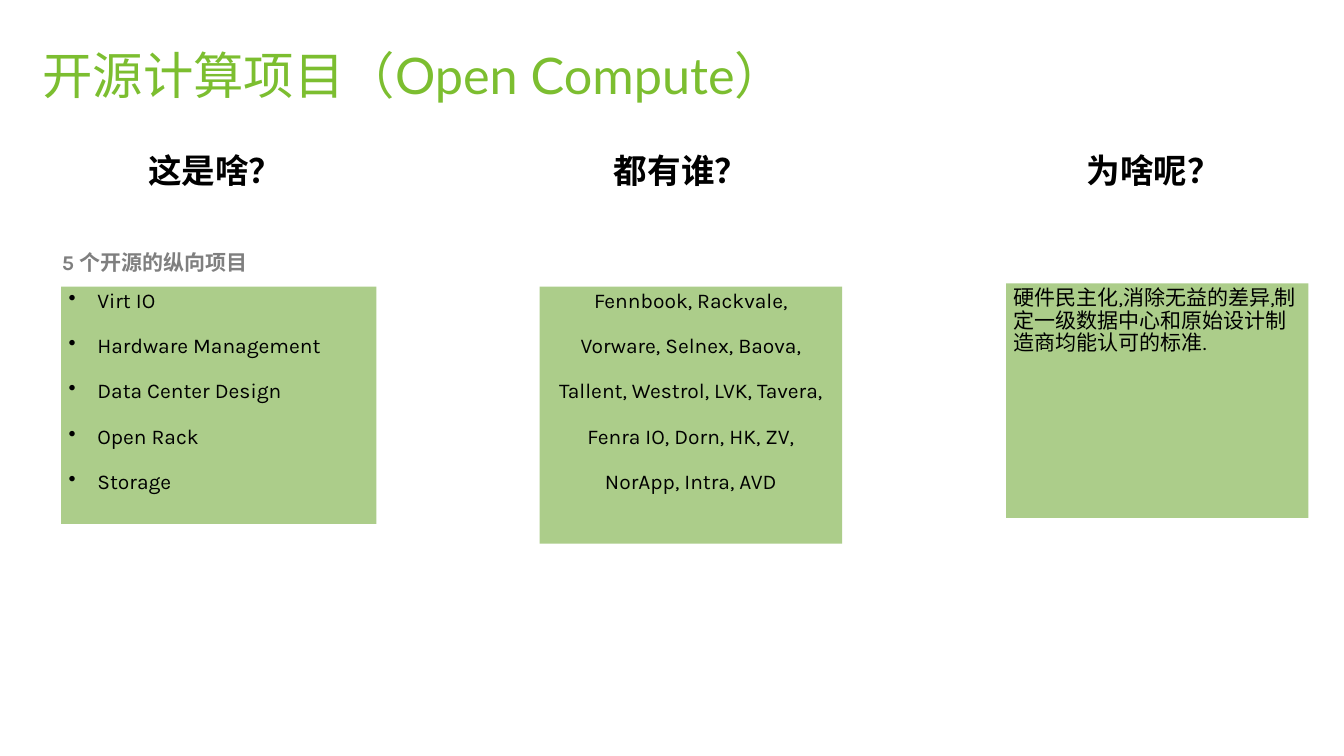
from lxml import etree
from pptx import Presentation
from pptx.dml.color import RGBColor
from pptx.enum.shapes import MSO_SHAPE
from pptx.enum.text import MSO_ANCHOR, MSO_AUTO_SIZE, PP_ALIGN
from pptx.oxml.ns import qn
from pptx.util import Inches, Pt

RECT = MSO_SHAPE.RECTANGLE
LEFT, CENTER = PP_ALIGN.LEFT, PP_ALIGN.CENTER
TOP = MSO_ANCHOR.TOP
NO_FIT = MSO_AUTO_SIZE.NONE

COLORS = {"title": "7CBE30", "panel": "ACCD8A", "text": "000000", "caption": "7F7F7F"}

# Font name, size, weight and colour of each kind of text
FORMATS = {
    "title": {"name": "Lato", "size": Pt(48), "bold": False},
    "heading": {"name": "Karla", "size": Pt(32), "bold": True},
    "caption": {"name": "Karla", "size": Pt(20), "bold": True},
    "body": {"name": "Karla", "size": Pt(20), "bold": False},
}
ROW_GAP = Pt(21.5)
INDENT = Inches(0.38)

PROJECTS = ["Virt IO", "Hardware Management", "Data Center Design", "Open Rack", "Storage"]
MEMBERS = [
    "Fennbook, Rackvale,",
    "Vorware, Selnex, Baova,",
    "Tallent, Westrol, LVK, Tavera,",
    "Fenra IO, Dorn, HK, ZV,",
    "NorApp, Intra, AVD",
]
REASON = ["硬件民主化,消除无益的差异,制定一级数据中心和原始设计制造商均能认可的标准."]

COLUMNS = [
    {"heading": ("这是啥？", (1.56, 2, 2.58, 0.58)), "box": (0.81, 3.79, 4.17, 3.14),
     "lines": PROJECTS, "align": LEFT, "bullets": True,
     "caption": ("5 个开源的纵向项目", (0.72, 3.29, 4.08, 0.4))},
    {"heading": ("都有谁？", (7.72, 2, 2.58, 0.58)), "box": (7.14, 3.79, 4, 3.4),
     "lines": MEMBERS, "align": CENTER},
    {"heading": ("为啥呢？", (13.14, 2, 4.25, 0.58)), "box": (13.31, 3.75, 4, 3.1),
     "lines": REASON, "align": LEFT},
]


def add_bullet(p):
    pPr = p._p.get_or_add_pPr()
    pPr.set("marL", str(INDENT))
    pPr.set("indent", str(-INDENT))
    color = etree.SubElement(pPr, qn("a:buClr"))
    etree.SubElement(color, qn("a:srgbClr")).set("val", COLORS["text"])
    etree.SubElement(pPr, qn("a:buChar")).set("char", "•")


def write(tf, lines, kind, color, align=LEFT, spacing=0.9, bullets=False):
    tf.word_wrap = True
    tf.auto_size = NO_FIT
    tf.vertical_anchor = TOP
    for i, line in enumerate(lines):
        p = tf.add_paragraph() if i else tf.paragraphs[0]
        p.alignment = align
        p.line_spacing = spacing
        p.space_before = ROW_GAP if i else Pt(0)
        if bullets:
            add_bullet(p)
        r = p.add_run()
        r.text = line
        for key, value in FORMATS[kind].items():
            setattr(r.font, key, value)
        r.font.color.rgb = RGBColor.from_string(COLORS[color])


def add_title(slide, text, box):
    sp = slide.shapes.title
    sp.left, sp.top, sp.width, sp.height = map(Inches, box)
    tf = sp.text_frame
    for side in ("left", "top", "right", "bottom"):
        setattr(tf, f"margin_{side}", 0)
    write(tf, [text], "title", "title", spacing=1.0)


def add_label(slide, text, box, kind, color, align):
    sp = slide.shapes.add_textbox(*map(Inches, box))
    write(sp.text_frame, [text], kind, color, align)


def add_panel(slide, box, lines, align, bullets):
    sp = slide.shapes.add_shape(RECT, *map(Inches, box))
    sp.shadow.inherit = False
    sp.fill.solid()
    sp.fill.fore_color.rgb = RGBColor.from_string(COLORS["panel"])
    sp.line.fill.background()
    write(sp.text_frame, lines, "body", "text", align, bullets=bullets)


def add_column(slide, column):
    add_label(slide, *column["heading"], "heading", "text", CENTER)
    if "caption" in column:
        add_label(slide, *column["caption"], "caption", "caption", LEFT)
    add_panel(slide, column["box"], column["lines"], column["align"],
              column.get("bullets", False))


def main():
    prs = Presentation()
    prs.slide_width, prs.slide_height = Inches(17.78), Inches(10)
    slide = prs.slides.add_slide(prs.slide_layouts[5])

    # Title
    add_title(slide, "开源计算项目（Open Compute）", (0.56, 0.58, 17, 1))

    # Three question columns
    for column in COLUMNS:
        add_column(slide, column)

    prs.save("out.pptx")


if __name__ == "__main__":
    main()
